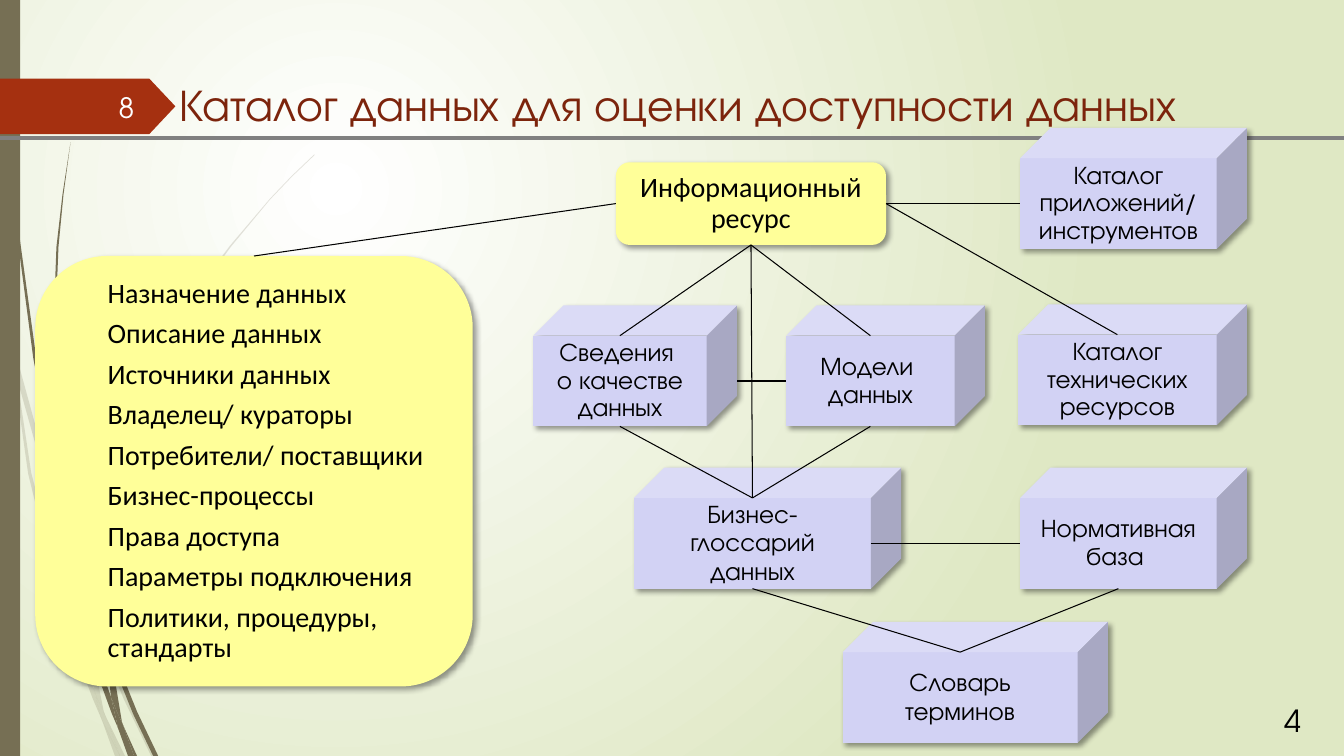
import dataclasses

import pptx
import pptx.dml.color
import pptx.enum.shapes
import pptx.enum.text
import pptx.oxml
import pptx.oxml.ns
import pptx.util

SHAPE = pptx.enum.shapes.MSO_SHAPE
ALIGN = pptx.enum.text.PP_ALIGN
ANCHOR = pptx.enum.text.MSO_ANCHOR
NS = pptx.oxml.ns.nsdecls("a")
CELLS_PER_INCH = 10


@dataclasses.dataclass(frozen=True)
class Theme:
    """Colours, fonts and type sizes."""
    stem: str = "766F54"
    flag: str = "A53010"
    title: str = "7C240C"
    rule: str = "808080"
    ink: str = "000000"
    paper: str = "FEFFFF"
    cube: str = "D2D2F4"
    card: str = "FFFF99"
    glow: tuple = ("FFFFFF", "DFE8C4")
    display: str = "TeX Gyre Adventor"
    body: str = "Calibri"
    title_size: float = 32
    number_size: float = 21.8
    card_size: float = 20
    cube_size: float = 18.1


@dataclasses.dataclass(frozen=True)
class Box:
    """A rectangle in grid cells."""
    x: float
    y: float
    w: float
    h: float

    def inner(self, x, y, w, h):
        """Return a box placed relative to this one."""
        return Box(self.x + x, self.y + y, w, h)

    def side(self, name):
        """Return the middle of the named side."""
        fx, fy = {"left": (0, .5), "right": (1, .5), "top": (.5, 0), "bottom": (.5, 1)}[name]
        return self.x + fx * self.w, self.y + fy * self.h

    def emu(self):
        """Return left, top, width and height as lengths."""
        return [cells(v) for v in (self.x, self.y, self.w, self.h)]


T = Theme()
SLIDE = Box(0, 0, 133.33, 75)
CUBE_H, CUBE_DEPTH = 12, 3

FADED_WISPS = [
    [(1.1, 35), (.9, 32.2), (0, 28.2), (0, 29.9), (1, 34.4)],
    [(5.8, 52.2), (8.4, 59.9), (8.5, 58.6), (6.2, 52), (1.4, 34.5), (1.7, 37.6)],
    [(9.2, 60.7), (8.8, 59.6), (8.8, 61), (12.3, 69.4), (15, 75), (15.5, 75), (12.7, 69.2)],
    [(11.9, 75), (12.4, 75), (10.5, 71.1)],
    [(9.3, 68.3), (7, 61.9), (3.1, 46.9), (1.7, 37.6), (1.1, 35), (2.8, 47), (6.5, 62.1),
     (9.2, 69.3), (10.1, 71.4), (9.9, 70.7)],
    [(8.4, 59.9), (8.7, 64.6), (9.3, 68.3), (9.6, 69.2), (10.5, 71.1), (10.3, 70.6),
     (9.1, 64.6), (8.8, 61), (8.8, 60.8)],
    [(8.8, 58.4), (9.3, 52.2), (11, 46.2), (13.2, 40.4), (16, 34.9), (19.2, 29.6), (22.9, 24.5),
     (26.8, 19.8), (29, 17.5), (31.2, 15.4), (31.2, 15.3), (28.9, 17.5), (26.8, 19.7),
     (22.8, 24.4), (19, 29.5), (15.8, 34.8), (12.9, 40.3), (10.7, 46.1), (9, 52.1),
     (8.5, 58.4), (8.5, 58.6), (8.8, 59.6)],
    [(10.1, 71.4), (11.4, 75), (11.9, 75)],
    [(9.6, 69.2), (9.3, 68.3), (9.9, 70.7), (10.1, 71.4), (11.9, 75), (10.5, 71.1)],
]
SOLID_WISPS = [
    [(.7, 11), (1.7, 23.3), (3.3, 35.5), (5.6, 47.7), (5.7, 48.1), (5.5, 45.7), (5.5, 45.3),
     (3.6, 35.5), (1.9, 23.2), (.8, 10.9), (.5, 4.8), (.4, 0), (.3, 0), (.4, 4.8)],
    [(11.3, 64.9), (11, 64.1), (11.1, 65.6), (13.2, 70.8), (15.2, 75), (15.7, 75), (13.6, 70.6)],
    [(11, 69.1), (9.8, 65.7), (7.2, 55.6), (6.4, 50.5), (5.7, 47.7), (6.8, 55.7), (9.3, 65.9),
     (11.1, 70.8), (11.7, 72.2), (11.6, 71.7)],
    [(6, 47.2), (5.8, 45.3), (5.4, 34.9), (5.8, 24.5), (6.3, 19.3), (7, 14.1), (6.2, 19.3),
     (5.6, 24.5), (5.2, 34.9), (5.5, 44.9)],
    [(13.3, 75), (13.6, 75), (12.2, 71.9)],
    [(11.7, 72.2), (12.7, 75), (13.1, 75)],
    [(10.6, 64.5), (11, 69.1), (11.6, 70.6), (12.2, 71.9), (12.1, 71.6), (11.1, 65.6), (10.9, 65.1)],
    [(11.6, 70.6), (11, 69.1), (11.6, 71.7), (11.7, 72.2), (13, 75), (13.3, 75), (12.2, 71.9)],
]
CUBES = {
    "apps": (48.3, 0, 22.5, "Каталог приложений/ инструментов", .9),
    "tech": (48.1, 17.5, 22.7, "Каталог технических ресурсов", .9),
    "glossary": (10, 33.7, 26.5, "Бизнес-глоссарий данных", .93),
    "norms": (48.3, 33.7, 22.5, "Нормативная база ", .93),
    "terms": (30.7, 49, 26.3, "Словарь терминов", .93),
    "models": (25.1, 17.6, 19.7, "Модели \vданных", .93),
    "quality": (0, 17.6, 20.2, "Сведения \vо качестве\vданных", .9),
}
LINKS_BEHIND = [("quality", "right", "models", "left")]
LINKS = [
    ("root", "right", "apps", "left"),
    ("root", "right", "tech", "top"),
    ("root", "left", "details", "top"),
    ("root", "bottom", "quality", "top"),
    ("root", "bottom", "models", "top"),
    ("root", "bottom", "glossary", "top"),
    ("quality", "bottom", "glossary", "top"),
    ("models", "bottom", "glossary", "top"),
    ("glossary", "right", "norms", "left"),
    ("glossary", "bottom", "terms", "top"),
    ("norms", "bottom", "terms", "top"),
]
DETAILS = ["Назначение данных", "Описание данных", "Источники данных", "Владелец/ кураторы",
           "Потребители/ поставщики", "Бизнес-процессы", "Права доступа",
           "Параметры подключения", "Политики, процедуры, стандарты"]


def cells(n):
    """Turn grid cells into a length."""
    return pptx.util.Inches(n / CELLS_PER_INCH)


def rgb(colour):
    """Turn a hex string into a colour."""
    return pptx.dml.color.RGBColor.from_string(colour)


def paint(sp, colour):
    """Give a shape a flat fill with no line or shadow."""
    sp.fill.solid()
    sp.fill.fore_color.rgb = rgb(colour)
    sp.line.fill.background()
    sp.shadow.inherit = False


def write(sp, lines, size, font, colour, align=ALIGN.LEFT, spacing=1.0, indent=0, after=0):
    """Fill a shape with formatted paragraphs."""
    tf = sp.text_frame
    tf.word_wrap = True
    tf.text = "\n".join(lines)
    for p in tf.paragraphs:
        p.alignment, p.line_spacing, p.space_after = align, spacing, pptx.util.Pt(after)
        p._p.get_or_add_pPr().set("marL", str(cells(indent)))
        for r in p.runs:
            r.font.size, r.font.name = pptx.util.Pt(size), font
            r.font.color.rgb = rgb(colour)


def add_label(s, box, text, size, colour, **style):
    """Add a text box in the display font."""
    sp = s.shapes.add_textbox(*box.emu())
    write(sp, [text], size, T.display, colour, **style)
    return sp


def add_line(s, start, end, colour=T.ink, width=.75):
    """Draw a straight line between two grid points."""
    c = s.shapes.add_connector(pptx.enum.shapes.MSO_CONNECTOR.STRAIGHT,
                               *[cells(v) for v in (*start, *end)])
    c.line.color.rgb, c.line.width = rgb(colour), pptx.util.Pt(width)
    c._element.spPr.append(pptx.oxml.parse_xml(f"<a:effectLst {NS}/>"))


def add_block(s, box, kind, colour, lines, size, font, **style):
    """Add a shadowed shape with text."""
    sp = s.shapes.add_shape(kind, *box.emu())
    paint(sp, colour)
    sp._element.spPr.find(pptx.oxml.ns.qn("a:effectLst")).append(pptx.oxml.parse_xml(
        f'<a:outerShdw {NS} blurRad="50800" dist="38100" dir="2700000" algn="tl" rotWithShape="0">'
        f'<a:srgbClr val="{T.ink}"><a:alpha val="40000"/></a:srgbClr></a:outerShdw>'))
    tf = sp.text_frame
    tf.vertical_anchor = ANCHOR.MIDDLE
    tf.margin_left = tf.margin_right = cells(1.2)
    tf.margin_top = tf.margin_bottom = cells(.6)
    write(sp, lines, size, font, T.ink, **style)


def draw_backdrop(s, box):
    """Draw the glowing background, the wisps and the left bar."""
    fill = s.background.fill
    fill.gradient()
    for stop, colour in zip(fill.gradient_stops, T.glow):
        stop.color.rgb = rgb(colour)
    grad = s._element.find(".//" + pptx.oxml.ns.qn("a:gradFill"))
    grad.replace(grad.find(pptx.oxml.ns.qn("a:lin")), pptx.oxml.parse_xml(
        f'<a:path {NS} path="circle"><a:fillToRect l="50000" t="50000" r="100000" b="100000"/></a:path>'))
    for wisps, opacity in ((FADED_WISPS, 20), (SOLID_WISPS, 100)):
        for wisp in wisps:
            points = [(cells(box.x + x), cells(box.y + y)) for x, y in wisp]
            fb = s.shapes.build_freeform(*points[0])
            fb.add_line_segments(points[1:], close=True)
            sp = fb.convert_to_shape()
            paint(sp, T.stem)
            sp._element.spPr.find(".//" + pptx.oxml.ns.qn("a:srgbClr")).append(
                pptx.oxml.parse_xml(f'<a:alpha {NS} val="{opacity * 1000}"/>'))
    paint(s.shapes.add_shape(SHAPE.RECTANGLE, *box.inner(0, 0, 2, box.h).emu()), T.stem)


def draw_header(s, box):
    """Draw the flag with its number, the title and the rule."""
    flag = s.shapes.add_shape(SHAPE.PENTAGON, *box.inner(0, .7, 17.4, 5.5).emu())
    flag.adjustments[0] = .47
    paint(flag, T.flag)
    add_line(s, *[(box.x + x, box.y + box.h) for x in (0, box.w)], T.rule, 3)
    add_label(s, box.inner(2.1, 0, box.w - 2.1, 6.4), "Каталог данных для оценки доступности данных",
              T.title_size, T.title, indent=14.7)
    number = add_label(s, box.inner(5.8, 1.5, 8.5, 4), "8", T.card_size, T.paper, align=ALIGN.RIGHT)
    number.text_frame.vertical_anchor = ANCHOR.MIDDLE


def draw_details(s, box):
    """Draw the card listing the resource's properties."""
    add_block(s, box, SHAPE.ROUNDED_RECTANGLE, T.card, DETAILS, T.card_size, T.body,
              spacing=.9, indent=3.9, after=7.3)


def draw_diagram(s, box, details):
    """Draw the resource, its catalogue cubes and their links."""
    root = box.inner(8.2, 3.4, 26.8, 8.2)
    fronts = {"root": root, "details": details}
    for name, (x, y, w, *_) in CUBES.items():
        fronts[name] = box.inner(x, y + CUBE_DEPTH, w - CUBE_DEPTH, CUBE_H - CUBE_DEPTH)

    def draw_links(links):
        """Join the named sides of blocks."""
        for a, a_side, b, b_side in links:
            add_line(s, fronts[a].side(a_side), fronts[b].side(b_side))

    draw_links(LINKS_BEHIND)
    add_block(s, root, SHAPE.ROUNDED_RECTANGLE, T.card, ["Информационный ресурс"],
              T.card_size, T.body, align=ALIGN.CENTER, spacing=.93)
    for x, y, w, text, spacing in CUBES.values():
        add_block(s, box.inner(x, y, w, CUBE_H), SHAPE.CUBE, T.cube, [text],
                  T.cube_size, T.display, align=ALIGN.CENTER, spacing=spacing)
    draw_links(LINKS)


def main():
    """Build and save the slide."""
    prs = pptx.Presentation()
    prs.slide_width, prs.slide_height = cells(SLIDE.w), cells(SLIDE.h)
    s = prs.slides.add_slide(prs.slide_layouts[6])
    details = SLIDE.inner(3.5, 25.4, 43.4, 42.7)
    draw_backdrop(s, SLIDE)
    draw_header(s, SLIDE.inner(0, 7.1, SLIDE.w, 6.6))
    draw_details(s, details)
    draw_diagram(s, SLIDE.inner(52.9, 12.7, 70.8, 61), details)
    add_label(s, SLIDE.inner(123.5, 69.2, 6.6, 4.7), "4", T.number_size, T.ink, align=ALIGN.RIGHT)
    prs.save("out.pptx")


if __name__ == "__main__":
    main()
